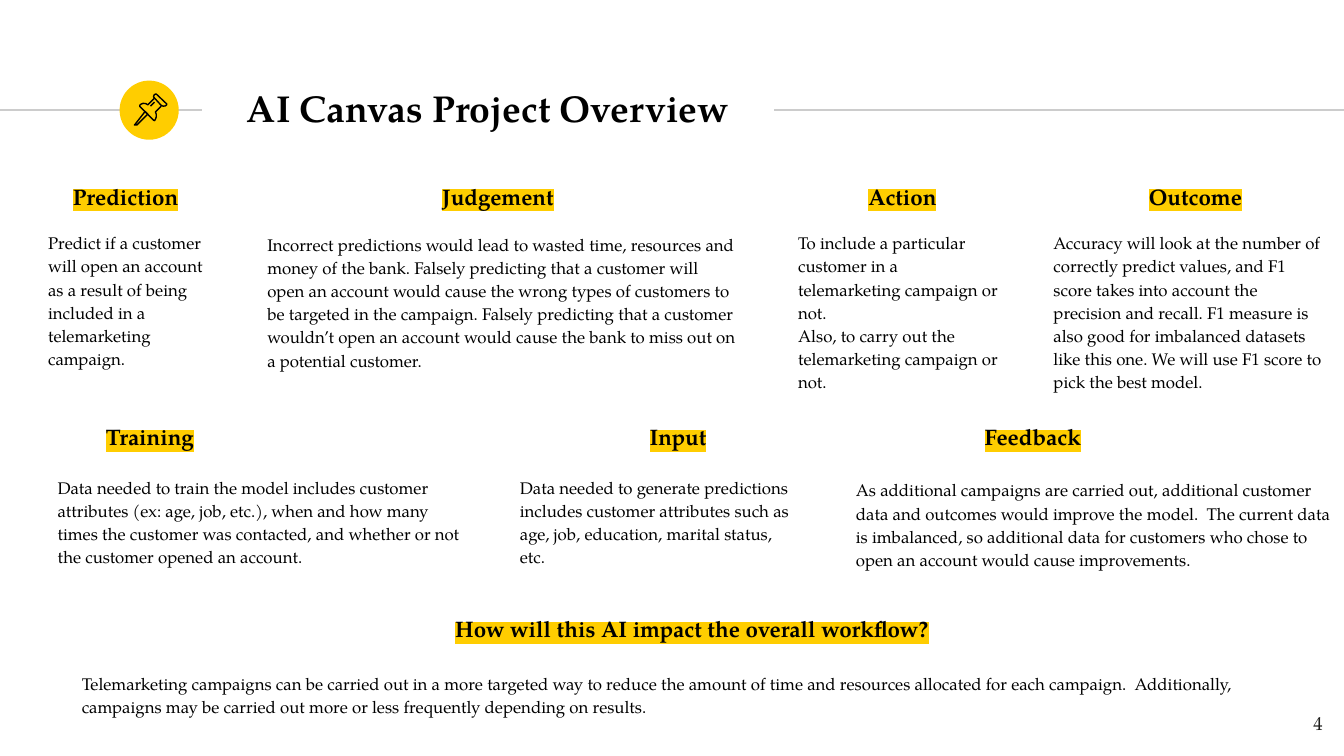
from dataclasses import dataclass

from lxml.etree import SubElement
from pptx import Presentation
from pptx.dml.color import RGBColor
from pptx.enum.shapes import MSO_CONNECTOR, MSO_SHAPE
from pptx.enum.text import MSO_ANCHOR, MSO_AUTO_SIZE, PP_ALIGN
from pptx.oxml import parse_xml
from pptx.oxml.ns import nsdecls, qn
from pptx.util import Inches, Pt


@dataclass(frozen=True)
class Theme:
    font: str = "TeX Gyre Pagella"
    ink: str = "000000"
    number_ink: str = "1D1D1B"
    accent: str = "FFCD00"
    rule: str = "CCCCCC"
    title_size: int = 20
    heading_size: int = 12
    number_size: int = 10
    body_size: int = 9
    line_width: float = 0.75


theme = Theme()


def write_text(shape, text, size, color=theme.ink, bold=False, align=PP_ALIGN.LEFT, spacing=1.0):
    frame = shape.text_frame
    frame.text = text
    frame.word_wrap = True
    frame.margin_left = frame.margin_right = Inches(0.1)
    frame.margin_top = frame.margin_bottom = Inches(0.1)
    for paragraph in frame.paragraphs:
        paragraph.alignment = align
        paragraph.line_spacing = spacing
        for run in paragraph.runs:
            run.font.name = theme.font
            run.font.size = Pt(size)
            run.font.bold = bold
            run.font.color.rgb = RGBColor.from_string(color)
    return frame


def add_text(left, top, width, height, text, size, **style):
    box = slide.shapes.add_textbox(Inches(left), Inches(top), Inches(width), Inches(height))
    frame = write_text(box, text, size, **style)
    frame.auto_size = MSO_AUTO_SIZE.SHAPE_TO_FIT_TEXT
    return frame


presentation = Presentation()
presentation.slide_width = Inches(10)
presentation.slide_height = Inches(10) * 9 // 16
slide = presentation.slides.add_slide(presentation.slide_layouts[5])

for start, end in [(0, 1.5), (5.76, 10)]:
    rule = slide.shapes.add_connector(
        MSO_CONNECTOR.STRAIGHT, Inches(start), Inches(0.82), Inches(end), Inches(0.82)
    )
    rule.line.color.rgb = RGBColor.from_string(theme.rule)
    rule.line.width = Pt(theme.line_width)
    SubElement(rule._element.spPr, qn("a:effectLst"))

badge = slide.shapes.add_shape(
    MSO_SHAPE.OVAL, Inches(0.89), Inches(0.6), Inches(0.44), Inches(0.44)
)
badge.shadow.inherit = False
badge.fill.solid()
badge.fill.fore_color.rgb = RGBColor.from_string(theme.accent)
badge.line.fill.background()

title = slide.shapes.title
title.left, title.top = Inches(1.51), Inches(0.56)
title.width, title.height = Inches(4.24), Inches(0.48)
title_frame = write_text(
    title, "AI Canvas Project Overview", theme.title_size, bold=True, align=PP_ALIGN.CENTER
)
title_frame.vertical_anchor = MSO_ANCHOR.MIDDLE
title_frame.auto_size = MSO_AUTO_SIZE.NONE

pin_outlines = [
    ([(1080, 830), (1010, 920), (1000, 930), (1020, 930), (1100, 850)], True),
    ([(1150, 730), (1200, 785), (1215, 790), (1230, 788), (1240, 780), (1240, 773),
      (1163, 700), (1155, 700), (1147, 707), (1142, 720)], True),
    ([(1150, 730), (1100, 780), (1085, 771), (1065, 769), (1050, 775), (1040, 783),
      (1040, 792), (1143, 895), (1150, 898), (1157, 888), (1163, 870), (1163, 850),
      (1157, 833), (1200, 790)], False),
    ([(1120, 790), (1150, 760)], False),
]
pin = slide.shapes.add_group_shape()
for points, closed in pin_outlines:
    builder = pin.shapes.build_freeform(*points[0], scale=Inches(1) / 1000)
    builder.add_line_segments(points[1:], close=closed)
    outline = builder.convert_to_shape()
    outline.shadow.inherit = False
    outline.fill.background()
    outline.line.color.rgb = RGBColor.from_string(theme.ink)
    outline.line.width = Pt(theme.line_width)

add_text(9.34, 5.21, 0.6, 0.41, "4", theme.number_size,
         color=theme.number_ink, align=PP_ALIGN.RIGHT)

headings = [
    (0.26, 1.26, 1.35, "Prediction"),
    (3.03, 1.26, 1.35, "Judgement"),
    (6.04, 1.26, 1.35, "Action"),
    (8.22, 1.26, 1.35, "Outcome"),
    (0.44, 3.05, 1.35, "Training"),
    (4.37, 3.05, 1.35, "Input"),
    (7.01, 3.05, 1.35, "Feedback"),
    (0.72, 4.48, 8.86, "How will this AI impact the overall workflow?"),
]
for left, top, width, text in headings:
    frame = add_text(left, top, width, 0.4, text, theme.heading_size,
                     bold=True, align=PP_ALIGN.CENTER)
    properties = frame.paragraphs[0].runs[0].font._element
    highlight = parse_xml(
        f'<a:highlight {nsdecls("a")}><a:srgbClr val="{theme.accent}"/></a:highlight>'
    )
    properties.find(qn("a:solidFill")).addnext(highlight)

bodies = [
    (0.26, 1.61, 1.46, 1.22,
     "Predict if a customer will open an account as a result of being included in a "
     "telemarketing campaign."),
    (1.89, 1.62, 3.68, 1.22,
     "Incorrect predictions would lead to wasted time, resources and money of the bank. "
     "Falsely predicting that a customer will open an account would cause the wrong types of "
     "customers to be targeted in the campaign. Falsely predicting that a customer wouldn’t "
     "open an account would cause the bank to miss out on a potential customer."),
    (5.84, 1.61, 1.71, 1.4,
     "To include a particular customer in a telemarketing campaign or not.\n"
     "Also, to carry out the telemarketing campaign or not."),
    (7.74, 1.61, 2.24, 1.4,
     "Accuracy will look at the number of correctly predict values, and F1 score takes into "
     "account the precision and recall. F1 measure is also good for imbalanced datasets like "
     "this one. We will use F1 score to pick the best model."),
    (0.33, 3.43, 3.28, 0.88,
     "Data needed to train the model includes customer attributes (ex: age, job, etc.), when "
     "and how many times the customer was contacted, and whether or not the customer opened "
     "an account."),
    (3.77, 3.43, 2.24, 0.88,
     "Data needed to generate predictions includes customer attributes such as age, job, "
     "education, marital status, etc."),
    (6.27, 3.45, 3.76, 0.88,
     "As additional campaigns are carried out, additional customer data and outcomes would "
     "improve the model.  The current data is imbalanced, so additional data for customers "
     "who chose to open an account would cause improvements."),
    (0.51, 4.89, 8.98, 0.53,
     "Telemarketing campaigns can be carried out in a more targeted way to reduce the amount "
     "of time and resources allocated for each campaign.  Additionally, campaigns may be "
     "carried out more or less frequently depending on results."),
]
for left, top, width, height, text in bodies:
    add_text(left, top, width, height, text, theme.body_size, spacing=1.15)

presentation.save("out.pptx")
